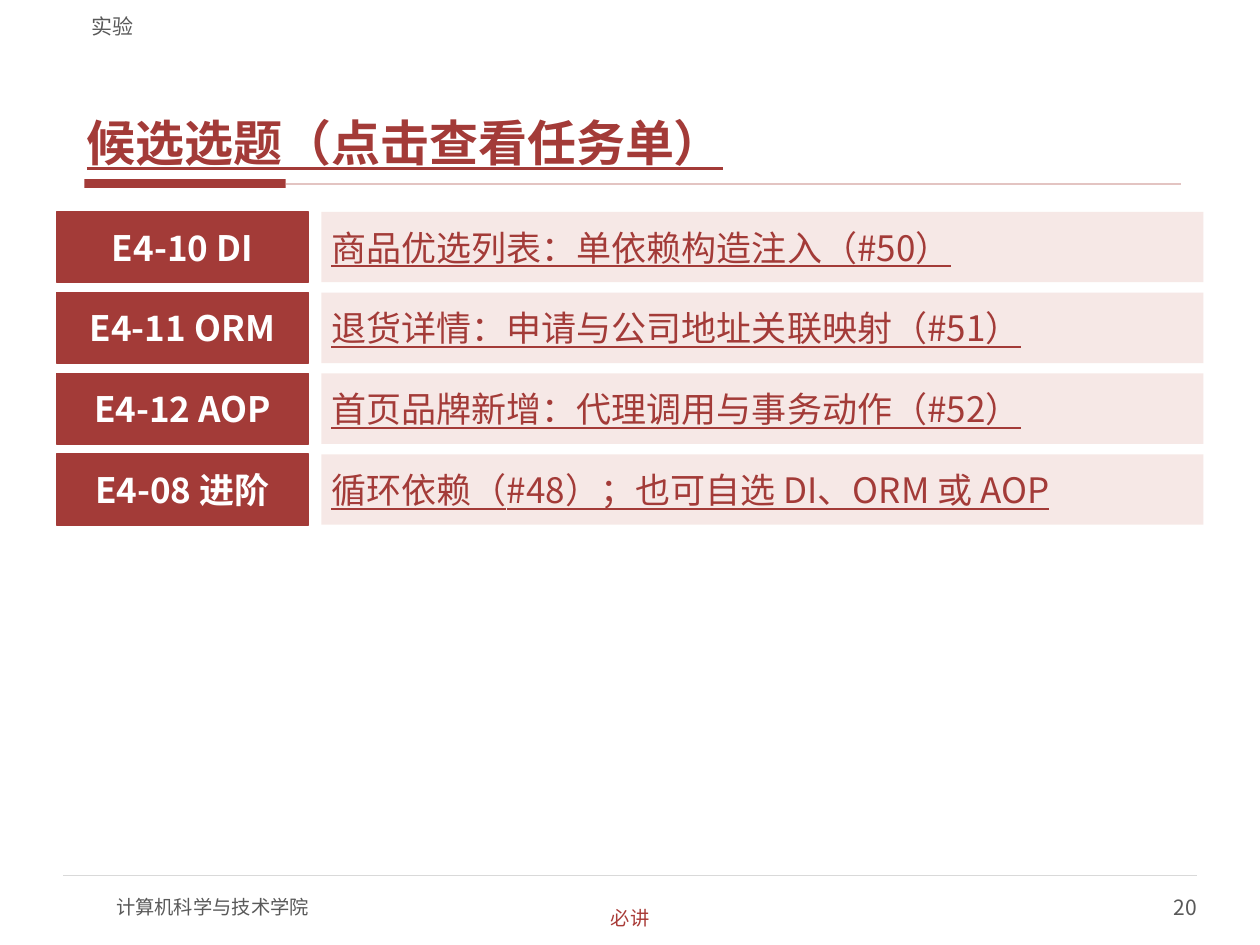
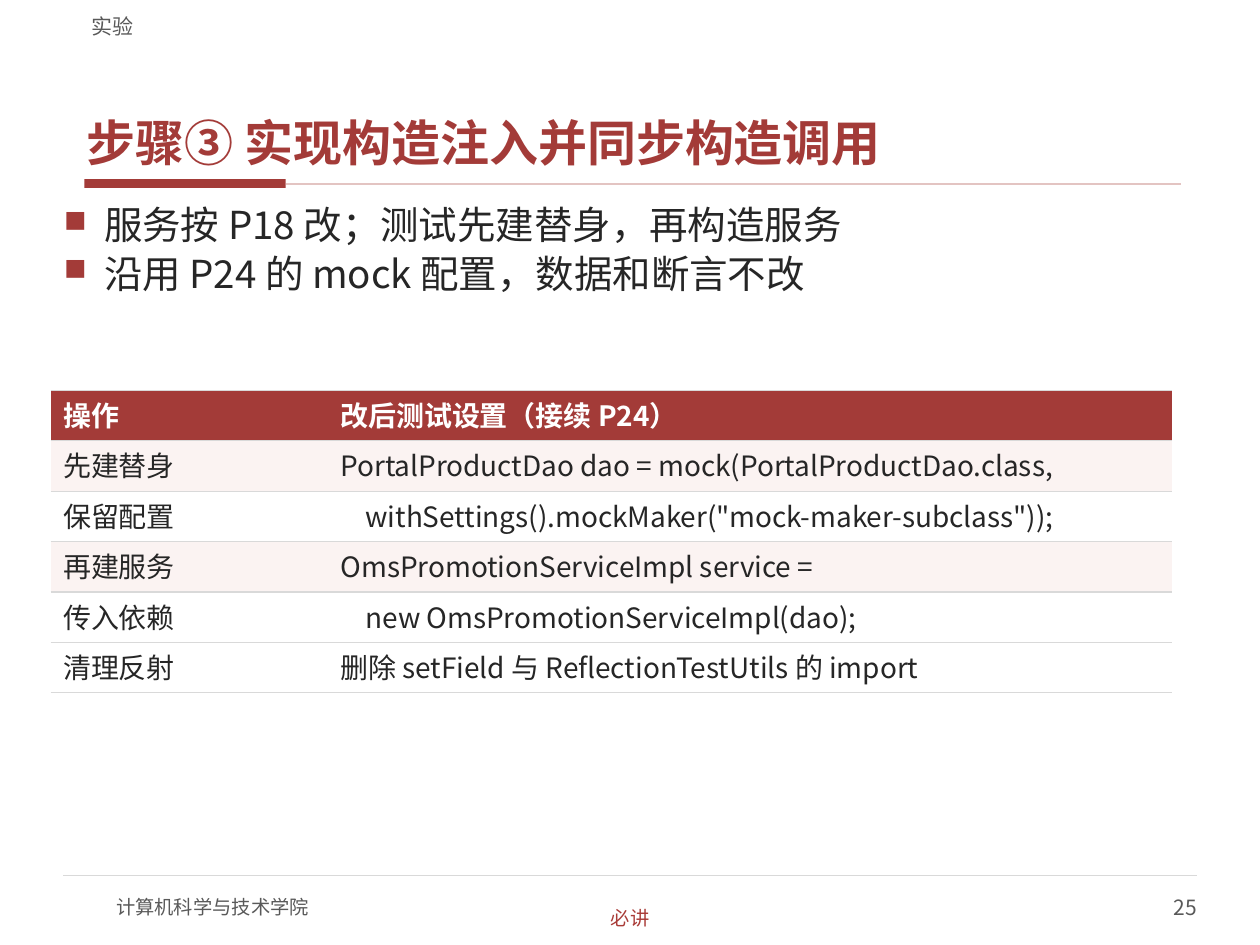
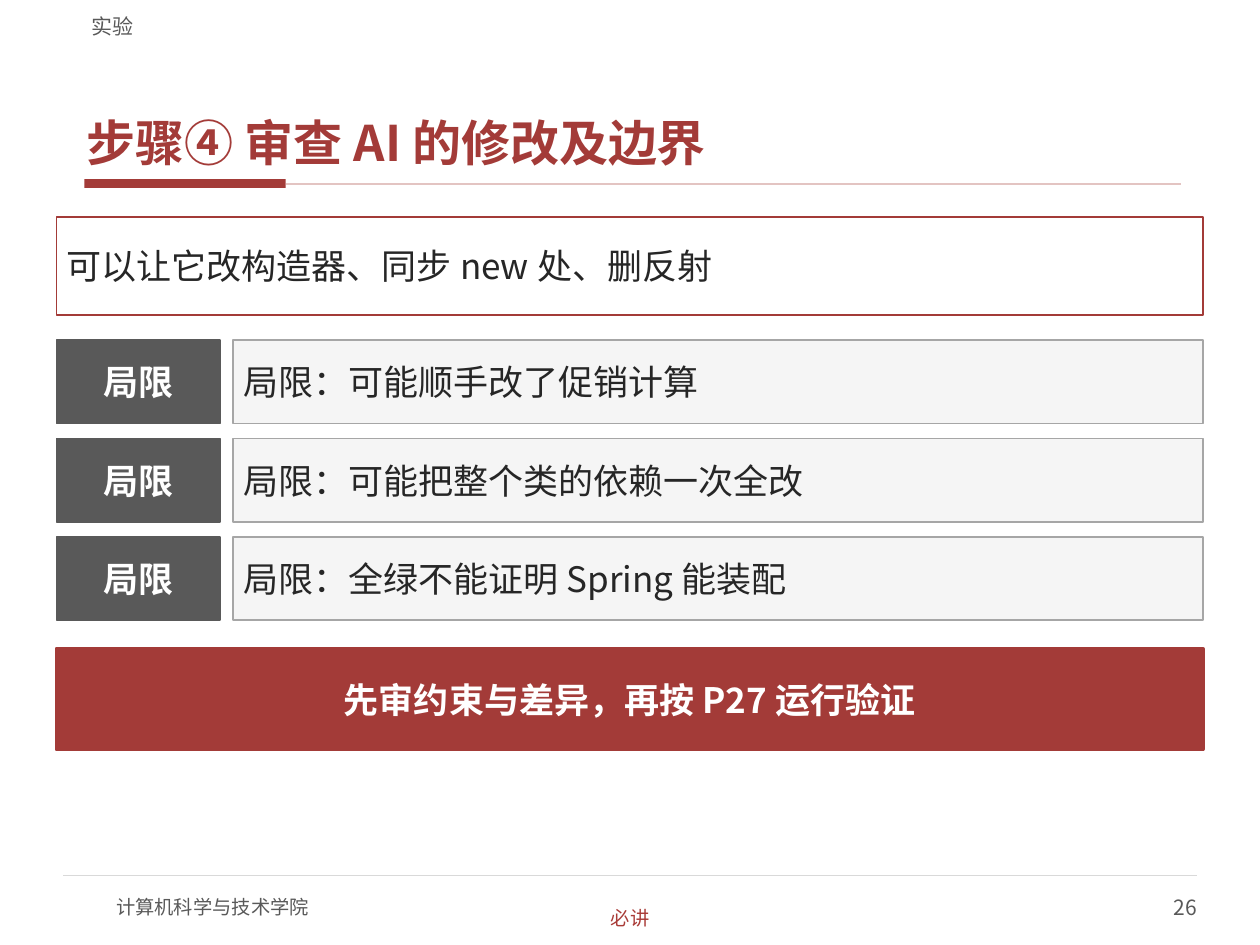
from lxml import etree
from pptx import Presentation
from pptx.dml.color import RGBColor
from pptx.enum.shapes import MSO_CONNECTOR, MSO_SHAPE
from pptx.enum.text import MSO_ANCHOR, MSO_AUTO_SIZE, PP_ALIGN
from pptx.oxml.ns import qn
from pptx.util import Cm, Pt

RECT, STRAIGHT = MSO_SHAPE.RECTANGLE, MSO_CONNECTOR.STRAIGHT
TOP, MIDDLE, BOTTOM = MSO_ANCHOR.TOP, MSO_ANCHOR.MIDDLE, MSO_ANCHOR.BOTTOM
LEFT, CENTER, RIGHT = PP_ALIGN.LEFT, PP_ALIGN.CENTER, PP_ALIGN.RIGHT
FIT_NONE = MSO_AUTO_SIZE.NONE

FONT = "Noto Sans CJK SC"
COLORS = {
    "red": "A33B38", "tag": "A93B37", "rule": "E3C4C2", "pink": "F6E8E6",
    "band": "FBF3F2", "ink": "262626", "gray": "595959", "edge": "A6A6A6",
    "line": "D9D9D9", "pale": "F5F5F5", "white": "FFFFFF",
}
# Left edge and width of the content area, in cm
X, W = 1.14, 23.11


def rgb(name):
    return RGBColor.from_string(COLORS[name])


def write(p, text, size=20, color="ink", bold=False, underline=False,
          align=LEFT, before=0, after=0, spacing=None):
    """Put one formatted run into a paragraph."""
    p.alignment = align
    p.space_before, p.space_after = Pt(before), Pt(after)
    if spacing:
        p.line_spacing = spacing
    r = p.add_run()
    r.text = text
    f = r.font
    f.name, f.size, f.bold, f.underline = FONT, Pt(size), bold, underline
    f.color.rgb = rgb(color)
    etree.SubElement(f._element, qn("a:ea"), typeface=FONT)


def add_bullet(p):
    pPr = p._p.get_or_add_pPr()
    pPr.set("marL", str(Cm(0.81)))
    pPr.set("indent", str(-Cm(0.81)))
    clr = etree.SubElement(pPr, qn("a:buClr"))
    etree.SubElement(clr, qn("a:srgbClr"), val=COLORS["red"])
    etree.SubElement(pPr, qn("a:buSzPct"), val="80000")
    etree.SubElement(pPr, qn("a:buChar"), char="■")


def set_borders(cell):
    tcPr = cell._tc.get_or_add_tcPr()
    for side in ("L", "R"):
        ln = etree.SubElement(tcPr, qn(f"a:ln{side}"), w="0")
        etree.SubElement(ln, qn("a:noFill"))
    for side in ("T", "B"):
        ln = etree.SubElement(tcPr, qn(f"a:ln{side}"), w=str(Pt(0.75)))
        fill = etree.SubElement(ln, qn("a:solidFill"))
        etree.SubElement(fill, qn("a:srgbClr"), val=COLORS["line"])


class Deck:
    def __init__(self):
        self.prs = Presentation()
        self.prs.slide_width, self.prs.slide_height = Cm(25.4), Cm(19.05)
        self.s = None

    def frame(self, sp, anchor, inset, wrap=True):
        tf = sp.text_frame
        tf.auto_size, tf.word_wrap, tf.vertical_anchor = FIT_NONE, wrap, anchor
        tf.margin_left = tf.margin_right = Cm(inset[0])
        tf.margin_top = tf.margin_bottom = Cm(inset[1])
        return tf

    def text(self, x, y, w, h, text, anchor=MIDDLE, inset=(0, 0), wrap=True,
             **fmt):
        sp = self.s.shapes.add_textbox(Cm(x), Cm(y), Cm(w), Cm(h))
        write(self.frame(sp, anchor, inset, wrap).paragraphs[0], text, **fmt)

    def box(self, x, y, w, h, fill, line=None, weight=1, text=None, **fmt):
        sp = self.s.shapes.add_shape(RECT, Cm(x), Cm(y), Cm(w), Cm(h))
        sp.shadow.inherit = False
        sp.fill.solid()
        sp.fill.fore_color.rgb = rgb(fill)
        if line:
            sp.line.color.rgb, sp.line.width = rgb(line), Pt(weight)
        else:
            sp.line.fill.background()
        if text:
            tf = self.frame(sp, MIDDLE, (0.2, 0.1))
            write(tf.paragraphs[0], text, **fmt)

    def label(self, x, y, w, h, text, fill="red", weight=1):
        self.box(x, y, w, h, fill, fill, weight, text,
                 color="white", bold=True, align=CENTER)

    def rule(self, x1, x2, y, color, weight):
        c = self.s.shapes.add_connector(STRAIGHT, Cm(x1), Cm(y), Cm(x2), Cm(y))
        c.line.color.rgb, c.line.width = rgb(color), Pt(weight)
        etree.SubElement(c._element.spPr, qn("a:effectLst"))

    def bullets(self, x, y, w, h, items):
        sp = self.s.shapes.add_textbox(Cm(x), Cm(y), Cm(w), Cm(h))
        tf = self.frame(sp, TOP, (0.15, 0.05))
        for i, item in enumerate(items):
            p = tf.add_paragraph() if i else tf.paragraphs[0]
            add_bullet(p)
            write(p, item, size=22, before=4 if i else 0, spacing=0.9)

    def table(self, x, y, widths, row_h, rows):
        tbl = self.s.shapes.add_table(
            len(rows), len(widths), Cm(x), Cm(y),
            Cm(sum(widths)), Cm(row_h * len(rows))).table
        for col, w in zip(tbl.columns, widths):
            col.width = Cm(w)
        for i, row in enumerate(rows):
            head = i == 0
            # Odd rows are tinted, except the closing one
            tinted = i % 2 and i < len(rows) - 1
            fill = "red" if head else "band" if tinted else "white"
            for cell, text in zip(tbl.rows[i].cells, row):
                set_borders(cell)
                cell.fill.solid()
                cell.fill.fore_color.rgb = rgb(fill)
                cell.vertical_anchor = MIDDLE
                write(cell.text_frame.paragraphs[0], text, size=16, bold=head,
                      color="white" if head else "ink", spacing=0.9)

    def slide(self, title, number, underline=False):
        """Start a slide with its title, header, rules and footer."""
        self.s = self.prs.slides.add_slide(self.prs.slide_layouts[5])
        # Title
        sp = self.s.shapes.title
        sp.left, sp.top, sp.width, sp.height = Cm(1.6), Cm(0.84), Cm(22.23), Cm(2.67)
        write(self.frame(sp, BOTTOM, (0.15, 0.05)).paragraphs[0], title,
              size=28, color="red", bold=True, underline=underline, spacing=0.9)
        self.box(1.7, 3.61, 4.06, 0.18, "red")
        self.rule(5.77, 23.8, 3.71, "rule", 1)
        # Header
        self.text(1.6, 0.1, 22.23, 0.69, "实验", anchor=BOTTOM,
                  inset=(0.25, 0), size=12, color="gray")
        # Footer
        self.rule(1.27, 24.13, 17.65, "line", 0.75)
        self.text(2.34, 17.78, 10.16, 1.02, "计算机科学与技术学院",
                  size=11, color="gray")
        self.text(19.05, 17.78, 5.08, 1.02, str(number),
                  size=12, color="gray", align=RIGHT)
        self.text(11.18, 18.24, 3.05, 0.53, "必讲", wrap=False,
                  size=11, color="tag", align=CENTER)


def topics_slide(deck):
    deck.slide("候选选题（点击查看任务单）", 20, underline=True)
    topics = [
        ("E4-10 DI", "商品优选列表：单依赖构造注入（#50）"),
        ("E4-11 ORM", "退货详情：申请与公司地址关联映射（#51）"),
        ("E4-12 AOP", "首页品牌新增：代理调用与事务动作（#52）"),
        ("E4-08 进阶", "循环依赖（#48）；也可自选 DI、ORM 或 AOP"),
    ]
    for i, (code, topic) in enumerate(topics):
        y = 4.27 + 1.63 * i
        deck.label(X, y, 5.08, 1.42, code)
        deck.box(6.48, y, 17.78, 1.42, "pink", text=topic,
                 color="red", underline=True)


def injection_slide(deck):
    deck.slide("步骤③ 实现构造注入并同步构造调用", 25)
    deck.bullets(X, 4.11, W, 3.56, [
        "服务按 P18 改；测试先建替身，再构造服务",
        "沿用 P24 的 mock 配置，数据和断言不改",
    ])
    deck.table(1.02, 7.87, (5.59, 17.02), 1.016, [
        ("操作", "改后测试设置（接续 P24）"),
        ("先建替身", "PortalProductDao dao = mock(PortalProductDao.class,"),
        ("保留配置", '    withSettings().mockMaker("mock-maker-subclass"));'),
        ("再建服务", "OmsPromotionServiceImpl service ="),
        ("传入依赖", "    new OmsPromotionServiceImpl(dao);"),
        ("清理反射", "删除 setField 与 ReflectionTestUtils 的 import"),
    ])


def review_slide(deck):
    deck.slide("步骤④ 审查 AI 的修改及边界", 26)
    deck.box(X, 4.37, W, 1.98, "white", "red",
             text="可以让它改构造器、同步 new 处、删反射")
    limits = ["可能顺手改了促销计算", "可能把整个类的依赖一次全改",
              "全绿不能证明 Spring 能装配"]
    for i, limit in enumerate(limits):
        y = 6.86 + 1.98 * i
        deck.label(X, y, 3.3, 1.68, "局限", fill="gray")
        deck.box(4.7, y, 19.56, 1.68, "pale", "edge", text=f"局限：{limit}")
    deck.label(X, 13.08, W, 2.03, "先审约束与差异，再按 P27 运行验证", weight=2.25)


def main():
    deck = Deck()
    topics_slide(deck)
    injection_slide(deck)
    review_slide(deck)
    deck.prs.save("out.pptx")


if __name__ == "__main__":
    main()
